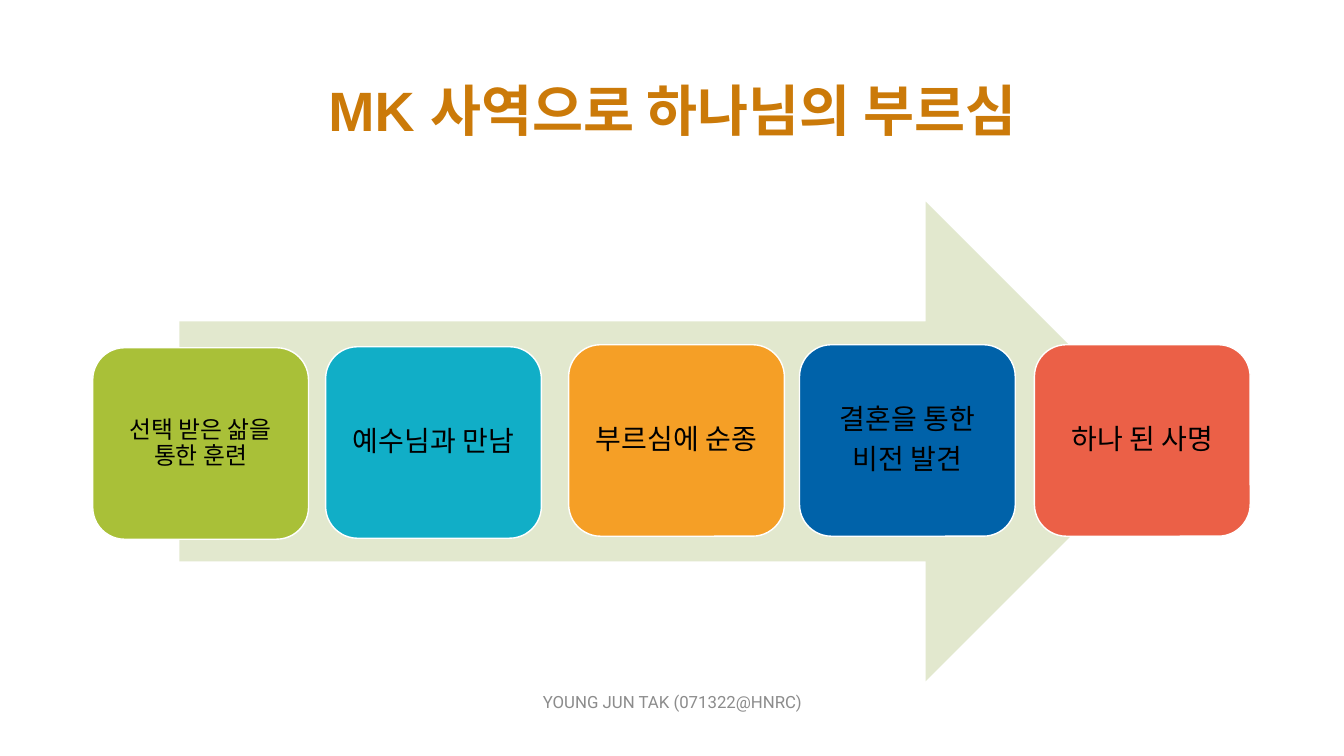
from dataclasses import dataclass

from pptx import Presentation
from pptx.dml.color import RGBColor
from pptx.enum.shapes import MSO_SHAPE
from pptx.enum.text import MSO_ANCHOR, PP_ALIGN
from pptx.util import Inches, Pt

RIGHT_ARROW = MSO_SHAPE.RIGHT_ARROW
ROUNDED_RECTANGLE = MSO_SHAPE.ROUNDED_RECTANGLE
MIDDLE = MSO_ANCHOR.MIDDLE
CENTER = PP_ALIGN.CENTER


@dataclass(frozen=True)
class Theme:
    """Colours, fonts and type sizes of the slide."""

    title: str = "CB7A09"
    arrow: str = "E2E8CE"
    outline: str = "FFFFFF"
    text: str = "000000"
    footer: str = "8C8C8C"
    steps: tuple = ("A9C038", "11AEC7", "F59F26", "0062A9", "EB6047")
    body_font: str = "Arial"
    first_step_font: str = "League Spartan"
    footer_font: str = "Roboto"
    title_size: float = 39.6
    step_size: int = 20
    first_step_size: int = 17
    footer_size: int = 12


class SlideBuilder:
    """Draws styled elements on the current slide."""

    def __init__(self, slide, theme):
        self.slide = slide
        self.theme = theme

    def set_text(self, shape, lines, font, size, color, bold=False, spacing=1.0, gap=0):
        """Fill a shape with centred paragraphs."""
        frame = shape.text_frame
        frame.word_wrap = True
        frame.vertical_anchor = MIDDLE
        frame.text = "\n".join(lines)
        for paragraph in frame.paragraphs:
            paragraph.alignment = CENTER
            paragraph.line_spacing = spacing
            paragraph.space_after = Pt(gap)
            paragraph.font.name = font
            paragraph.font.size = Pt(size)
            paragraph.font.bold = bold
            paragraph.font.color.rgb = RGBColor.from_string(color)

    def label(self, box, text, font, size, color, **style):
        """Add a one-line text box."""
        shape = self.slide.shapes.add_textbox(*map(Inches, box))
        self.set_text(shape, [text], font, size, color, **style)

    def block(self, kind, box, fill, outline=None):
        """Add a filled preset shape and return it."""
        shape = self.slide.shapes.add_shape(kind, *map(Inches, box))
        shape.shadow.inherit = False
        shape.fill.solid()
        shape.fill.fore_color.rgb = RGBColor.from_string(fill)
        if outline:
            shape.line.color.rgb = RGBColor.from_string(outline)
            shape.line.width = Pt(1)
        else:
            shape.line.fill.background()
        return shape

    def step(self, left, top, lines, fill, font, size):
        """Add one rounded step card with its text."""
        card = self.block(ROUNDED_RECTANGLE, (left, top, 2.14, 1.9), fill, self.theme.outline)
        frame = card.text_frame
        frame.margin_left = frame.margin_right = Inches(0.08)
        frame.margin_top = frame.margin_bottom = Inches(0.08)
        self.set_text(card, lines, font, size, self.theme.text, spacing=0.9, gap=0.35 * size)


def main():
    """Build and save the slide."""
    presentation = Presentation()
    presentation.slide_width = Inches(13.33)
    presentation.slide_height = Inches(7.5)
    theme = Theme()
    slide = presentation.slides.add_slide(presentation.slide_layouts[6])
    builder = SlideBuilder(slide, theme)

    builder.label((0.92, 0.4, 11.5, 1.45), "MK 사역으로 하나님의 부르심", theme.body_font,
                  theme.title_size, theme.title, bold=True, spacing=0.9)
    builder.block(RIGHT_ARROW, (1.78, 2, 9.78, 4.76), theme.arrow)

    steps = (
        (0.92, 3.45, ["선택 받은 삶을 통한 훈련"]),
        (3.23, 3.44, ["예수님과 만남"]),
        (5.64, 3.42, ["부르심에 순종"]),
        (7.93, 3.42, ["결혼을 통한", "비전 발견"]),
        (10.26, 3.42, ["하나 된 사명"]),
    )
    fonts = [theme.first_step_font] + [theme.body_font] * 4
    sizes = [theme.first_step_size] + [theme.step_size] * 4
    for (left, top, lines), fill, font, size in zip(steps, theme.steps, fonts, sizes):
        builder.step(left, top, lines, fill, font, size)

    builder.label((4.42, 6.76, 4.5, 0.4), "YOUNG JUN TAK (071322@HNRC)", theme.footer_font,
                  theme.footer_size, theme.footer)
    presentation.save("out.pptx")


if __name__ == "__main__":
    main()
